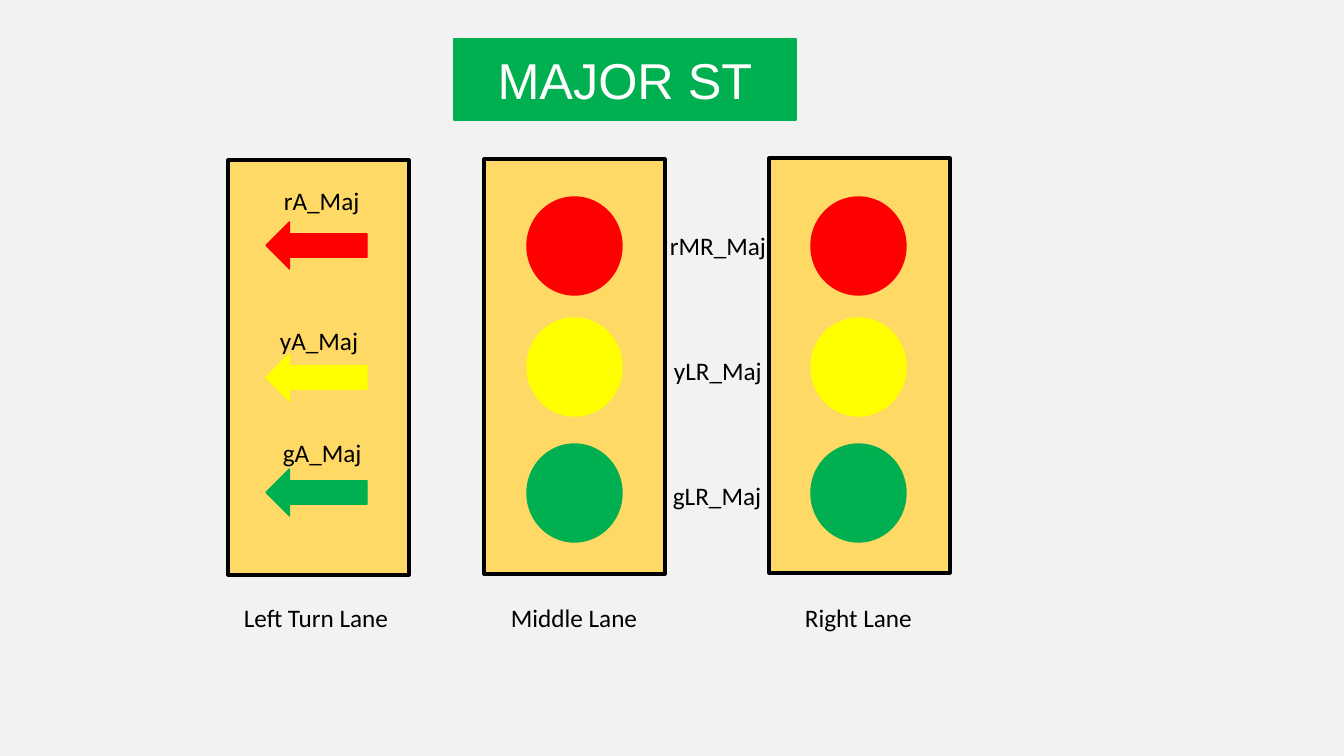
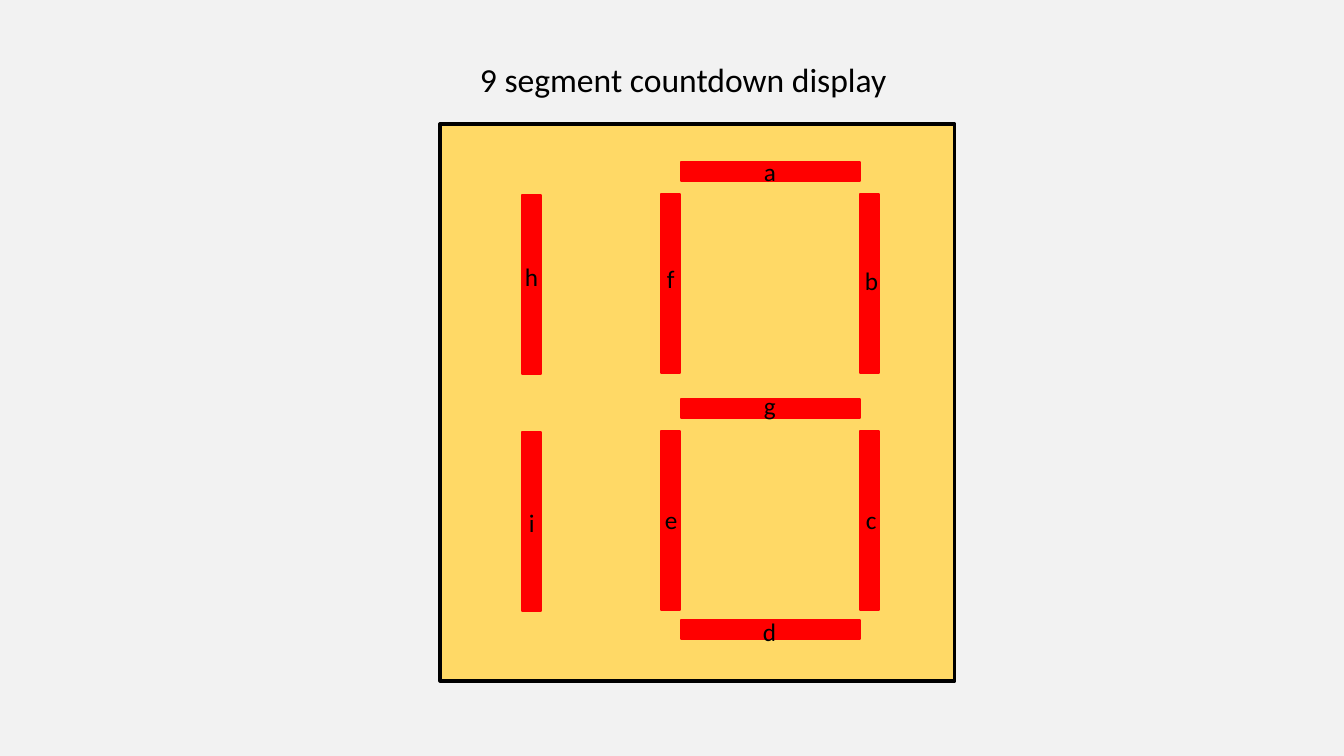
from pptx import Presentation
from pptx.dml.color import RGBColor
from pptx.enum.shapes import MSO_SHAPE
from pptx.enum.text import MSO_ANCHOR, MSO_AUTO_SIZE, PP_ALIGN
from pptx.util import Emu, Pt

RECTANGLE = MSO_SHAPE.RECTANGLE
OVAL = MSO_SHAPE.OVAL
LEFT_ARROW = MSO_SHAPE.LEFT_ARROW
MIDDLE = MSO_ANCHOR.MIDDLE
CENTER = PP_ALIGN.CENTER
GROW = MSO_AUTO_SIZE.SHAPE_TO_FIT_TEXT

EMU_PER_PIXEL = 914400 / 100.8
COLORS = {
    "page": "F2F2F2",
    "housing": "FFD966",
    "black": "000000",
    "white": "FFFFFF",
    "red": "FF0000",
    "yellow": "FFFF00",
    "green": "00B050",
}


def px(pixels):
    """Turn whole pixels into EMU."""
    return Emu(round(pixels * EMU_PER_PIXEL))


def color(name):
    """Look up a named colour."""
    return RGBColor.from_string(COLORS[name])


class SignalDeck:
    """Holds the shared style and the current slide."""

    def __init__(self):
        """Start an empty wide deck."""
        self.deck = Presentation()
        self.deck.slide_width = px(1344)
        self.deck.slide_height = px(756)
        self.page = None

    def add_page(self):
        """Add a blank slide with the shared background."""
        self.page = self.deck.slides.add_slide(self.deck.slide_layouts[6])
        fill = self.page.background.fill
        fill.solid()
        fill.fore_color.rgb = color("page")

    def shape(self, kind, left, top, width, height, fill, line=None, weight=1):
        """Add a filled shape, outlined in its own colour by default."""
        shape = self.page.shapes.add_shape(
            kind, px(left), px(top), px(width), px(height))
        shape.shadow.inherit = False
        shape.fill.solid()
        shape.fill.fore_color.rgb = color(fill)
        shape.line.color.rgb = color(line or fill)
        shape.line.width = Pt(weight)
        return shape

    def housing(self, left, top, width, height):
        """Add an outlined signal housing."""
        self.shape(RECTANGLE, left, top, width, height, "housing", "black", 2.25)

    def set_text(self, frame, text, size, font, ink):
        """Put one styled paragraph into a text frame."""
        para = frame.paragraphs[0]
        para.text = text
        para.font.size = Pt(size)
        para.font.name = font
        para.font.color.rgb = color(ink)
        return para

    def sign(self, text, left, top, width, height):
        """Add a green street sign."""
        frame = self.shape(RECTANGLE, left, top, width, height, "green").text_frame
        frame.vertical_anchor = MIDDLE
        self.set_text(frame, text, 36, "Arial", "white").alignment = CENTER

    def label(self, text, left, top, width, height=40, size=18):
        """Add a one-line label that fits its text."""
        box = self.page.shapes.add_textbox(
            px(left), px(top), px(width), px(height))
        frame = box.text_frame
        frame.word_wrap = False
        frame.auto_size = GROW
        self.set_text(frame, text, size, "Calibri", "black")


def build_signals(signals):
    """Build the slide with the three lane signals."""
    signals.add_page()
    lanes = [
        ("Left Turn Lane", 228, 160, 234, 167),
        ("Middle Lane", 484, 159, 501, 148),
        ("Right Lane", 769, 158, 795, 129),
    ]
    for name, left, top, label_left, label_width in lanes:
        signals.housing(left, top, 181, 415)
        signals.label(name, label_left, 597, label_width)
    signals.sign("MAJOR ST", 454, 39, 342, 81)

    lights = [
        ("red", 197, 222, ("rA_Maj", 274, 180, 97), ("rMR_Maj", 660, 225, 117)),
        ("yellow", 318, 354, ("yA_Maj", 270, 320, 99), ("yLR_Maj", 664, 350, 109)),
        ("green", 444, 469, ("gA_Maj", 273, 432, 100), ("gLR_Maj", 663, 475, 110)),
    ]
    for light, lamp_top, arrow_top, arrow_label, lamp_label in lights:
        for lamp_left in (527, 811):
            signals.shape(OVAL, lamp_left, lamp_top, 95, 98, light)
        signals.shape(LEFT_ARROW, 266, arrow_top, 101, 47, light)
        signals.label(*arrow_label)
        signals.label(*lamp_label)


def build_countdown(signals):
    """Build the slide with the countdown display."""
    signals.add_page()
    signals.housing(440, 124, 515, 557)
    upright, flat = (19, 179), (179, 19)
    segments = [
        ("h", 522, 195, upright, 515, 256, 34),
        ("i", 522, 432, upright, 519, 502, 26),
        ("f", 661, 194, upright, 657, 258, 28),
        ("b", 860, 194, upright, 855, 260, 34),
        ("e", 661, 431, upright, 655, 499, 33),
        ("c", 860, 431, upright, 856, 499, 31),
        ("a", 681, 162, flat, 754, 151, 32),
        ("g", 681, 399, flat, 754, 385, 32),
        ("d", 681, 620, flat, 753, 611, 34),
    ]
    for name, left, top, size, label_left, label_top, label_width in segments:
        signals.shape(RECTANGLE, left, top, *size, "red")
        signals.label(name, label_left, label_top, label_width)
    signals.label("9 segment countdown display", 470, 54, 430, 50, 24)


signals = SignalDeck()
build_signals(signals)
build_countdown(signals)
signals.deck.save("out.pptx")
